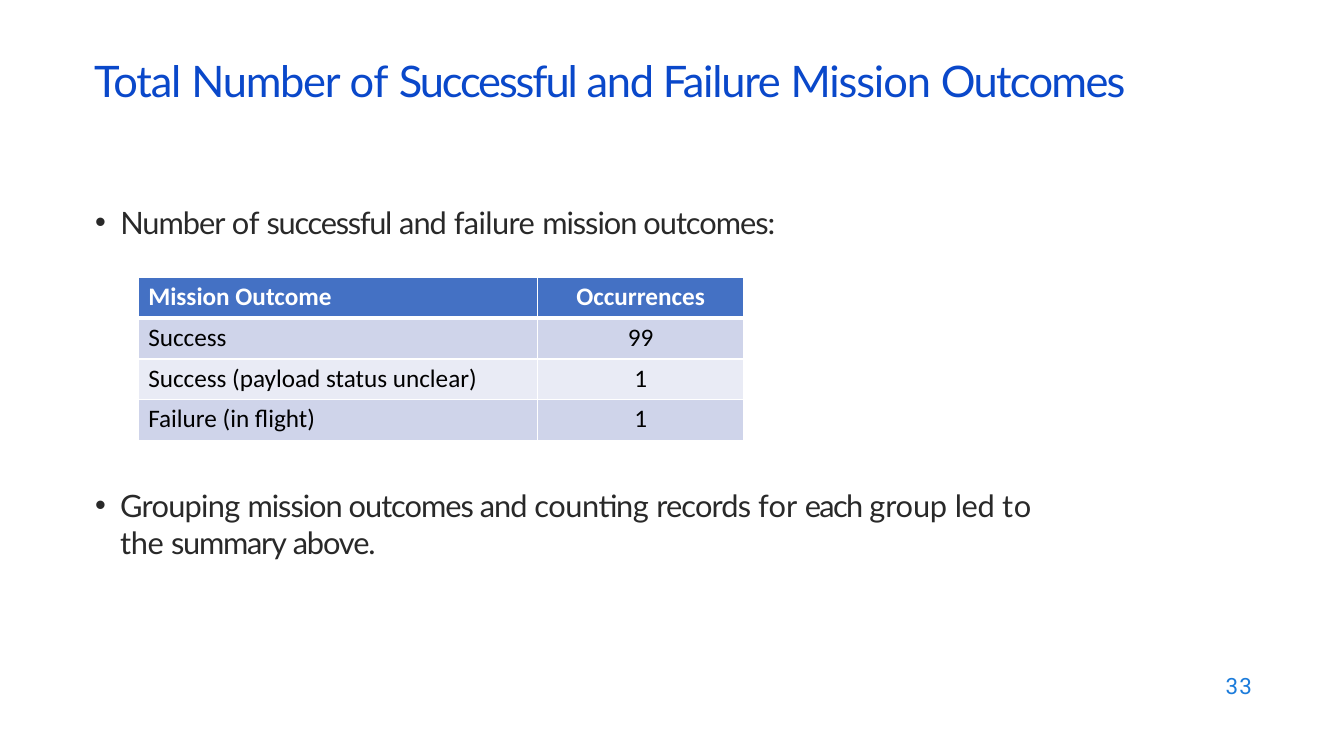
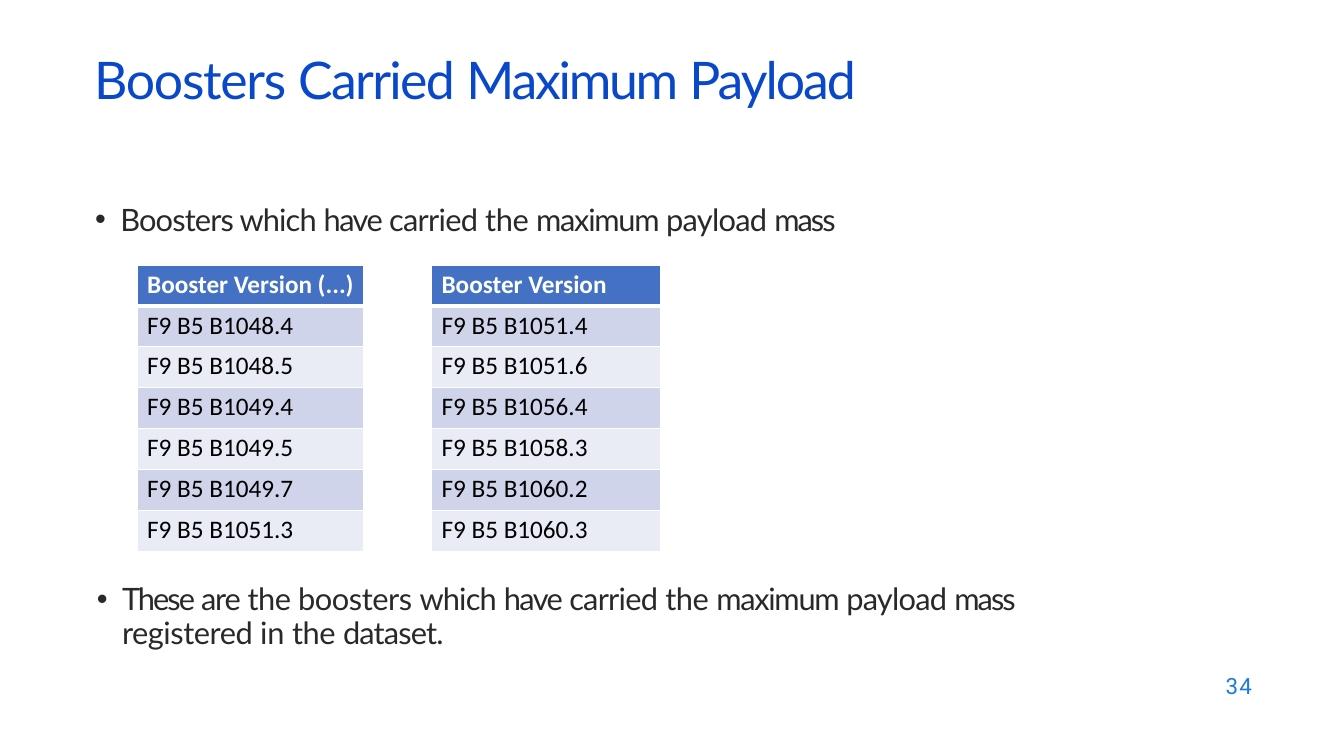
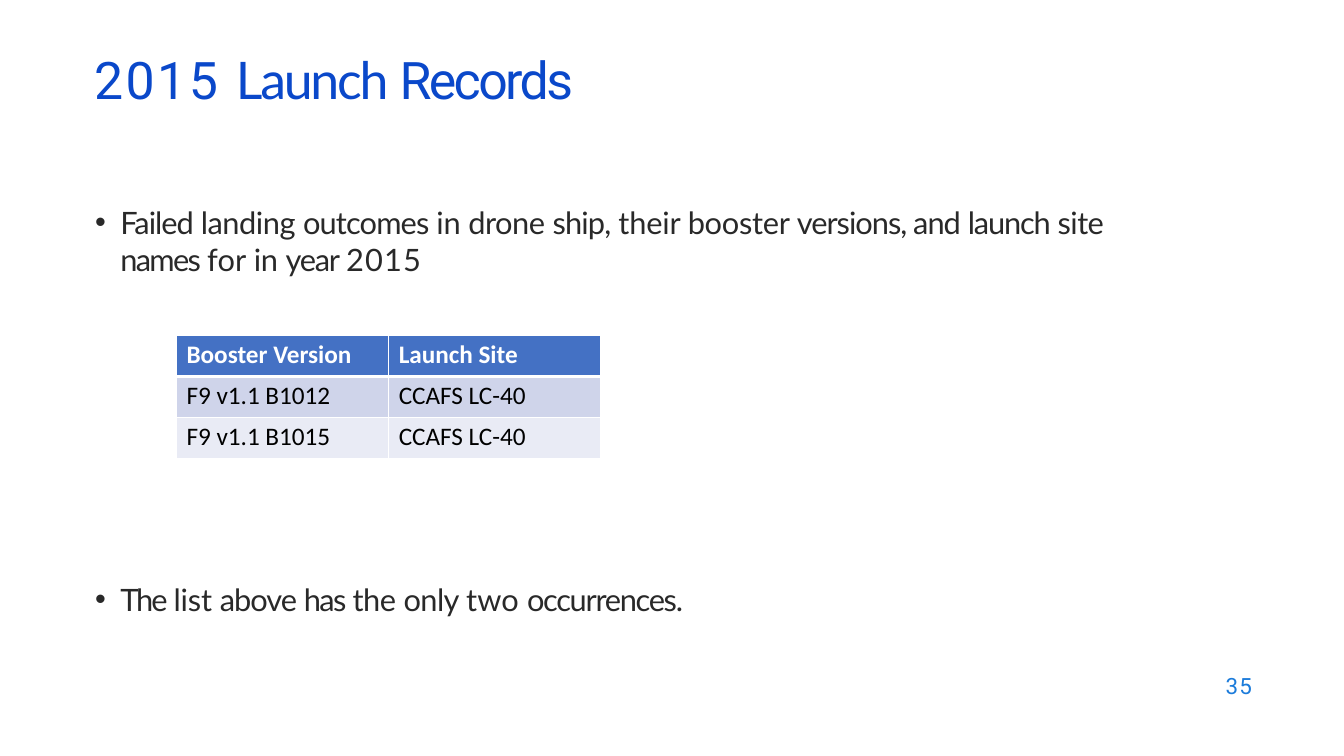
from pptx import Presentation
from pptx import util as u
from pptx.dml.color import RGBColor
from pptx.enum import text
from pptx.oxml import parse_xml
from pptx.oxml.ns import nsdecls
from lxml import etree

# Shared style: the grid has 100 columns and 100 rows
W, H = 13.33, 7.5
LEFT, WIDE = 7, 78
ROW_H = 5.41
FIRST_PAGE = 33
TITLE, BODY, PAGE, BLACK, WHITE = "0A48CA", "292929", "1C7CDB", "000000", "FFFFFF"
HEAD, BANDS = "4471C4", ("CFD4EA", "E9EBF5")


def color(hex_text):
    return RGBColor.from_string(hex_text)


def col(n):
    return u.Inches(W * n / 100)


def row(n):
    return u.Inches(H * n / 100)


def set_frame(tf, top=0.01):
    tf.word_wrap = True
    tf.auto_size = text.MSO_AUTO_SIZE.NONE
    tf.vertical_anchor = text.MSO_ANCHOR.TOP
    tf.margin_left = tf.margin_right = tf.margin_bottom = 0
    tf.margin_top = u.Inches(top)


def set_font(font, name, size, hex_text, bold=False):
    font.name, font.size, font.bold = name, u.Pt(size), bold
    font.color.rgb = color(hex_text)


def add_runs(p, pieces, size, hex_text):
    """Each piece is (text, letter spacing in points[, font name])."""
    for words, spacing, *name in pieces:
        r = p.add_run()
        r.text = words
        set_font(r.font, name[0] if name else "Lato", size, hex_text)
        r._r.get_or_add_rPr().set("spc", str(round(spacing * 100)))


def add_box(s, x, y, w, h, top=0.01):
    tf = s.shapes.add_textbox(col(x), row(y), col(w), row(h)).text_frame
    set_frame(tf, top)
    return tf.paragraphs[0]


# Kinds of element
def set_title(s, pieces, y=6.13, size=37):
    sp = s.shapes.title
    sp.left, sp.top, sp.width, sp.height = col(LEFT), row(y), col(82), row(8.67)
    set_frame(sp.text_frame)
    p = sp.text_frame.paragraphs[0]
    p.alignment = text.PP_ALIGN.LEFT
    add_runs(p, pieces, size, TITLE)


def add_bullet(s, y, pieces, x=LEFT, w=WIDE, lines=1, top=0.01, leading=None):
    p = add_box(s, x, y, w, 5.1 * lines, top)
    pPr = p._p.get_or_add_pPr()
    pPr.set("marL", str(u.Inches(0.26)))
    pPr.set("indent", str(u.Inches(-0.25)))
    pPr.append(parse_xml(f'<a:buFont {nsdecls("a")} typeface="Arial"/>'))
    pPr.append(parse_xml(f'<a:buChar {nsdecls("a")} char="•"/>'))
    if leading:
        p.line_spacing = u.Pt(leading)
    add_runs(p, pieces, 22, BODY)


def add_page_number(s, number):
    p = add_box(s, 91.2, 89.07, 3, 3.73, top=0)
    p.line_spacing = u.Pt(18.4)
    add_runs(p, [(str(number), 0.8, "Roboto")], 16, PAGE)


def set_borders(cell, top=1, bottom=1):
    tcPr = cell._tc.get_or_add_tcPr()
    for i, (side, width) in enumerate((("L", 1), ("R", 1), ("T", top), ("B", bottom))):
        ln = parse_xml(f'<a:ln{side} {nsdecls("a")} w="{u.Pt(width)}"><a:solidFill>'
                       f'<a:srgbClr val="{WHITE}"/></a:solidFill></a:ln{side}>')
        tcPr.insert(i, ln)


def add_grid_table(s, x, y, widths, rows, centered=()):
    frame = s.shapes.add_table(len(rows), len(widths), col(x), row(y),
                               col(sum(widths)), row(ROW_H * len(rows)))
    tbl = frame.table
    tbl.horz_banding = False
    for c, width in enumerate(widths):
        tbl.columns[c].width = col(width)
    for i, values in enumerate(rows):
        tbl.rows[i].height = row(ROW_H)
        for c, value in enumerate(values):
            cell = tbl.cell(i, c)
            middle = c in centered
            cell.margin_left = 0 if middle else u.Inches(0.1)
            cell.margin_right = cell.margin_bottom = 0
            cell.margin_top = u.Inches(0.04)
            cell.fill.solid()
            cell.fill.fore_color.rgb = color(BANDS[(i - 1) % 2] if i else HEAD)
            set_borders(cell, top=3 if i == 1 else 1, bottom=1 if i else 3)
            p = cell.text_frame.paragraphs[0]
            p.text = value
            p.alignment = text.PP_ALIGN.CENTER if middle else text.PP_ALIGN.LEFT
            set_font(p.runs[0].font, "Calibri", 18, BLACK if i else WHITE, not i)


# Slides
def mission_outcomes(s):
    set_title(s, [("Total ", -0.8), ("Number ", -0.9), ("of ", -0.1), ("Successful ", -1.5),
                  ("and Failure ", -0.9), ("Mission ", -0.8), ("Outcomes", -1.2)],
              y=7.07, size=31)
    add_bullet(s, 26.8, [("Number ", -0.7), ("of ", -0.1), ("successful ", -0.9), ("and ", -0.7),
                         ("failure ", -0.4), ("mission outcomes:", -0.7)])
    add_grid_table(s, 10.28, 36.67, (29.7, 15.38),
                   [("Mission Outcome", "Occurrences"), ("Success", "99"),
                    ("Success (payload status unclear)", "1"), ("Failure (in flight)", "1")],
                   centered=(1,))
    add_bullet(s, 64.27, [("Grouping ", -0.5), ("mission outcomes and ", -0.7),
                          ("counting ", -0.3), ("records ", -0.6), ("for ", 0.1),
                          ("each ", -1.2), ("group ", -0.1), ("led ", -0.3), ("to ", 0.5),
                          ("the ", -0.3), ("summary ", -0.9), ("above.", -0.8)],
               w=73.5, lines=2)


def maximum_payload(s):
    set_title(s, [("Boosters ", -0.9), ("Carried ", -1.2), ("Maximum ", -1.6), ("Payload", -1.4)])
    shared = [("have ", -1.1), ("carried ", -0.5), ("the ", -0.3), ("maximum ", -0.9),
              ("payload ", -0.5)]
    add_bullet(s, 26.4, [("Boosters which ", -0.6), *shared, ("mass", -1.4)])
    boosters = {
        "Booster Version (...)": (10.2, 16.88, "1048.4 1048.5 1049.4 1049.5 1049.7 1051.3"),
        "Booster Version": (32.11, 17.03, "1051.4 1051.6 1056.4 1058.3 1060.2 1060.3"),
    }
    for heading, (x, width, serials) in boosters.items():
        add_grid_table(s, x, 35.07, (width,),
                       [(heading,)] + [(f"F9 B5 B{n}",) for n in serials.split()])
    add_bullet(s, 76.53, [("These ", -1.4), ("are ", -0.8), ("the boosters ", -0.3),
                          ("which ", -0.6), *shared, ("mass ", -1.4), ("registered ", -0.3),
                          ("in ", -0.2), ("the ", -0.3), ("dataset.", -0.6)],
               x=7.13, w=71.1, lines=2, top=0.05, leading=23.8)


def launch_records(s):
    set_title(s, [("2015 ", 1.8, "Roboto"), ("Launch ", -1.6), ("Records", -1.8, "Roboto")])
    add_bullet(s, 26.8, [("Failed ", -0.7), ("landing ", -0.3), ("outcomes ", -0.6),
                         ("in ", -0.2), ("drone ", -0.3), ("ship, ", -0.6), ("their ", -0.1),
                         ("booster ", -0.2), ("versions, and ", -0.7), ("launch ", -0.8),
                         ("site ", -0.4), ("names ", -1.2), ("for ", 0.1), ("in ", -0.2),
                         ("year ", -0.9), ("2015", 0.9)], lines=2)
    add_grid_table(s, 13.13, 44.4, (15.79, 15.79),
                   [("Booster Version", "Launch Site"), ("F9 v1.1 B1012", "CCAFS LC-40"),
                    ("F9 v1.1 B1015", "CCAFS LC-40")])
    add_bullet(s, 76.67, [("The ", -1.4), ("list ", -0.1), ("above ", -0.7), ("has ", -1.2),
                          ("the ", -0.3), ("only ", -0.4), ("two ", 0.1), ("occurrences.", -0.9)])


def main():
    prs = Presentation()
    prs.slide_width, prs.slide_height = u.Inches(W), u.Inches(H)
    builders = (mission_outcomes, maximum_payload, launch_records)
    for number, build in enumerate(builders, FIRST_PAGE):
        s = prs.slides.add_slide(prs.slide_layouts[5])
        build(s)
        add_page_number(s, number)
    prs.save("out.pptx")


if __name__ == "__main__":
    main()
